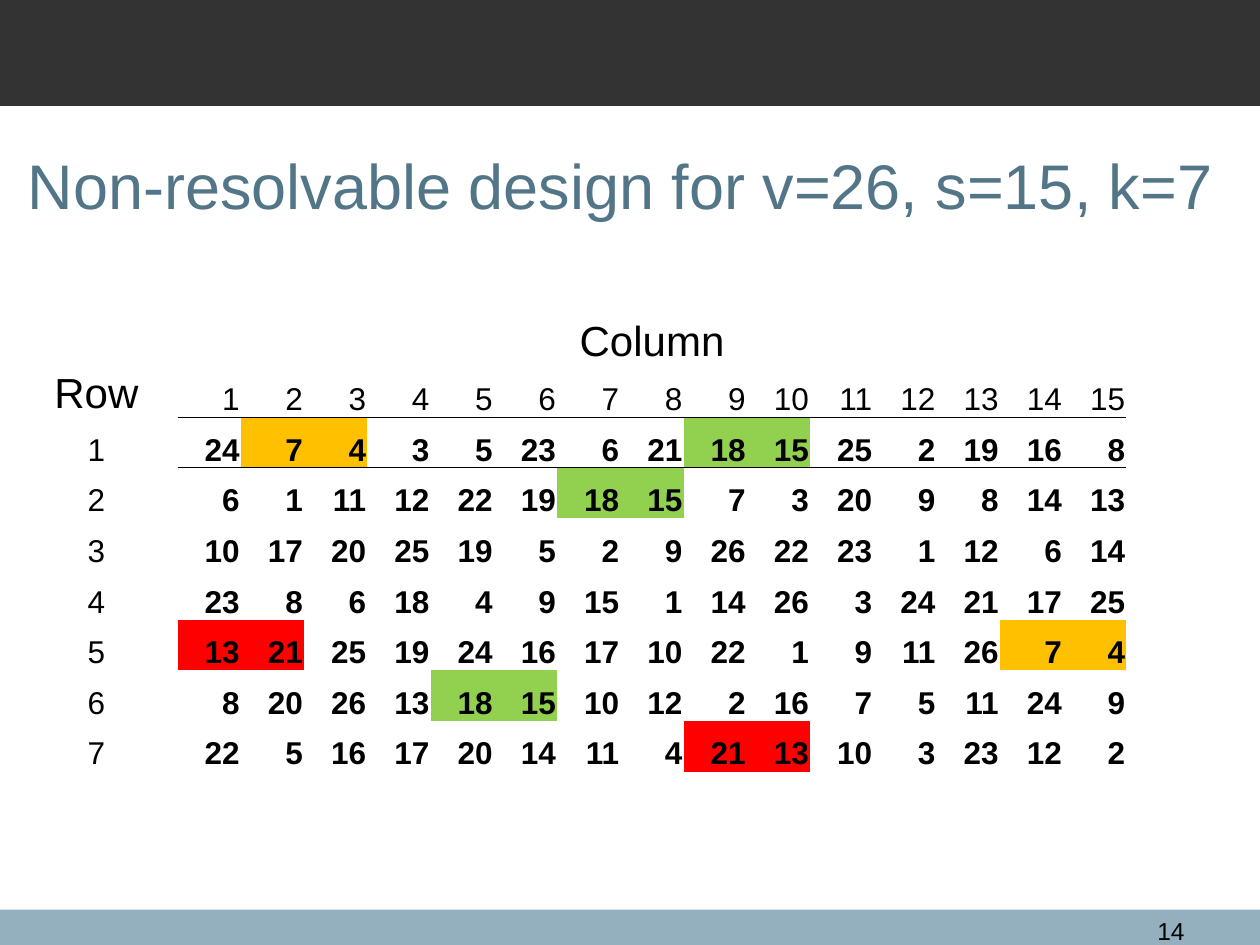
from dataclasses import dataclass

from lxml import etree
from pptx import Presentation
from pptx.dml.color import RGBColor
from pptx.enum.shapes import MSO_SHAPE
from pptx.enum.text import MSO_ANCHOR, PP_ALIGN
from pptx.oxml.ns import qn
from pptx.util import Inches, Pt

RECT = MSO_SHAPE.RECTANGLE
TOP, MIDDLE, BOTTOM = MSO_ANCHOR.TOP, MSO_ANCHOR.MIDDLE, MSO_ANCHOR.BOTTOM
LEFT, CENTER, RIGHT = PP_ALIGN.LEFT, PP_ALIGN.CENTER, PP_ALIGN.RIGHT
PLAIN = "{2D5ABB26-0587-4C30-8999-92F81FD0307C}"


@dataclass(frozen=True)
class Theme:
    font: str = "Arial"
    black: str = "000000"
    dark: str = "333333"
    band: str = "94B0BE"
    title: str = "527688"
    gold: str = "FFC000"
    green: str = "92D050"
    red: str = "FF0000"
    head: int = 36
    label: int = 24
    body: int = 18
    small: int = 14


@dataclass(frozen=True)
class Box:
    left: float
    top: float
    width: float
    height: float

    def place(self) -> tuple:
        return tuple(map(Inches, (self.left, self.top, self.width, self.height)))


@dataclass(frozen=True)
class Style:
    size: int
    color: str
    align: PP_ALIGN
    bold: bool = False


@dataclass(frozen=True)
class Pair:
    row: int
    col: int
    color: str


T = Theme()
LABEL = Style(T.label, T.black, CENTER)
INDEX = Style(T.body, T.black, CENTER)
HEADER = Style(T.body, T.black, RIGHT)
ENTRY = Style(T.body, T.black, RIGHT, True)

BARS = [(Box(0, 7.22, 10, 0.28), T.band), (Box(0, 0, 10, 0.84), T.dark)]
DESIGN = [
    [24, 7, 4, 3, 5, 23, 6, 21, 18, 15, 25, 2, 19, 16, 8],
    [6, 1, 11, 12, 22, 19, 18, 15, 7, 3, 20, 9, 8, 14, 13],
    [10, 17, 20, 25, 19, 5, 2, 9, 26, 22, 23, 1, 12, 6, 14],
    [23, 8, 6, 18, 4, 9, 15, 1, 14, 26, 3, 24, 21, 17, 25],
    [13, 21, 25, 19, 24, 16, 17, 10, 22, 1, 9, 11, 26, 7, 4],
    [8, 20, 26, 13, 18, 15, 10, 12, 2, 16, 7, 5, 11, 24, 9],
    [22, 5, 16, 17, 20, 14, 11, 4, 21, 13, 10, 3, 23, 12, 2],
]
PAIRS = [
    Pair(1, 2, T.gold), Pair(1, 9, T.green), Pair(2, 7, T.green),
    Pair(5, 1, T.red), Pair(5, 14, T.gold), Pair(6, 5, T.green),
    Pair(7, 9, T.red),
]


def write(frame, text: str, style: Style) -> None:
    para = frame.paragraphs[0]
    para.alignment = style.align
    run = para.add_run()
    run.text = text
    font = run.font
    font.name, font.size, font.bold = T.font, Pt(style.size), style.bold
    font.color.rgb = RGBColor.from_string(style.color)


def add_bar(slide, box: Box, color: str) -> None:
    bar = slide.shapes.add_shape(RECT, *box.place())
    bar.shadow.inherit = False
    bar.fill.solid()
    bar.fill.fore_color.rgb = RGBColor.from_string(color)
    bar.line.fill.background()


def add_text(slide, box: Box, text: str, style: Style, anchor: MSO_ANCHOR) -> None:
    frame = slide.shapes.add_textbox(*box.place()).text_frame
    frame.word_wrap = True
    frame.vertical_anchor = anchor
    write(frame, text, style)


def add_edge(cell, side: str) -> None:
    edge = etree.Element(qn(f"a:{side}"), w=str(Pt(0.5)))
    fill = etree.SubElement(edge, qn("a:solidFill"))
    etree.SubElement(fill, qn("a:srgbClr"), val=T.black)
    cell._tc.get_or_add_tcPr().insert(0, edge)


def add_grid(slide, box: Box) -> None:
    count = len(DESIGN[0])
    shape = slide.shapes.add_table(len(DESIGN) + 3, count + 2, *box.place())
    next(shape.element.iter(qn("a:tableStyleId"))).text = PLAIN
    table = shape.table
    table.first_row = table.horz_banding = False
    widths = [1.29] + [7.53 / count] * count + [1.06]
    for column, width in zip(table.columns, widths):
        column.width = Inches(width)
    for cell in table.iter_cells():
        cell.margin_left = cell.margin_right = cell.margin_top = Inches(0.01)
        cell.margin_bottom = 0
        cell.vertical_anchor = BOTTOM
        cell.fill.background()

    table.cell(0, 1).merge(table.cell(0, count))
    write(table.cell(0, 1).text_frame, "Column", LABEL)
    write(table.cell(1, 0).text_frame, "Row", LABEL)
    for col in range(1, count + 1):
        write(table.cell(1, col).text_frame, str(col), HEADER)
        add_edge(table.cell(1, col), "lnB")
        add_edge(table.cell(2, col), "lnT")
    for row, values in enumerate(DESIGN, 1):
        write(table.cell(row + 1, 0).text_frame, str(row), INDEX)
        for col, value in enumerate(values, 1):
            write(table.cell(row + 1, col).text_frame, str(value), ENTRY)
    for pair in PAIRS:
        for col in (pair.col, pair.col + 1):
            fill = table.cell(pair.row + 1, col).fill
            fill.solid()
            fill.fore_color.rgb = RGBColor.from_string(pair.color)


def main() -> None:
    deck = Presentation()
    deck.slide_width, deck.slide_height = Inches(10), Inches(7.5)
    slide = deck.slides.add_slide(deck.slide_layouts[6])
    for box, color in BARS:
        add_bar(slide, box, color)
    add_text(slide, Box(0.12, 0.84, 9.69, 1.25),
             "Non-resolvable design for v=26, s=15, k=7",
             Style(T.head, T.title, LEFT), MIDDLE)
    add_text(slide, Box(8.86, 7.22, 0.64, 0.24), "14",
             Style(T.small, T.black, RIGHT), TOP)
    add_grid(slide, Box(0.12, 2.49, 9.88, 4.02))
    deck.save("out.pptx")


main()
